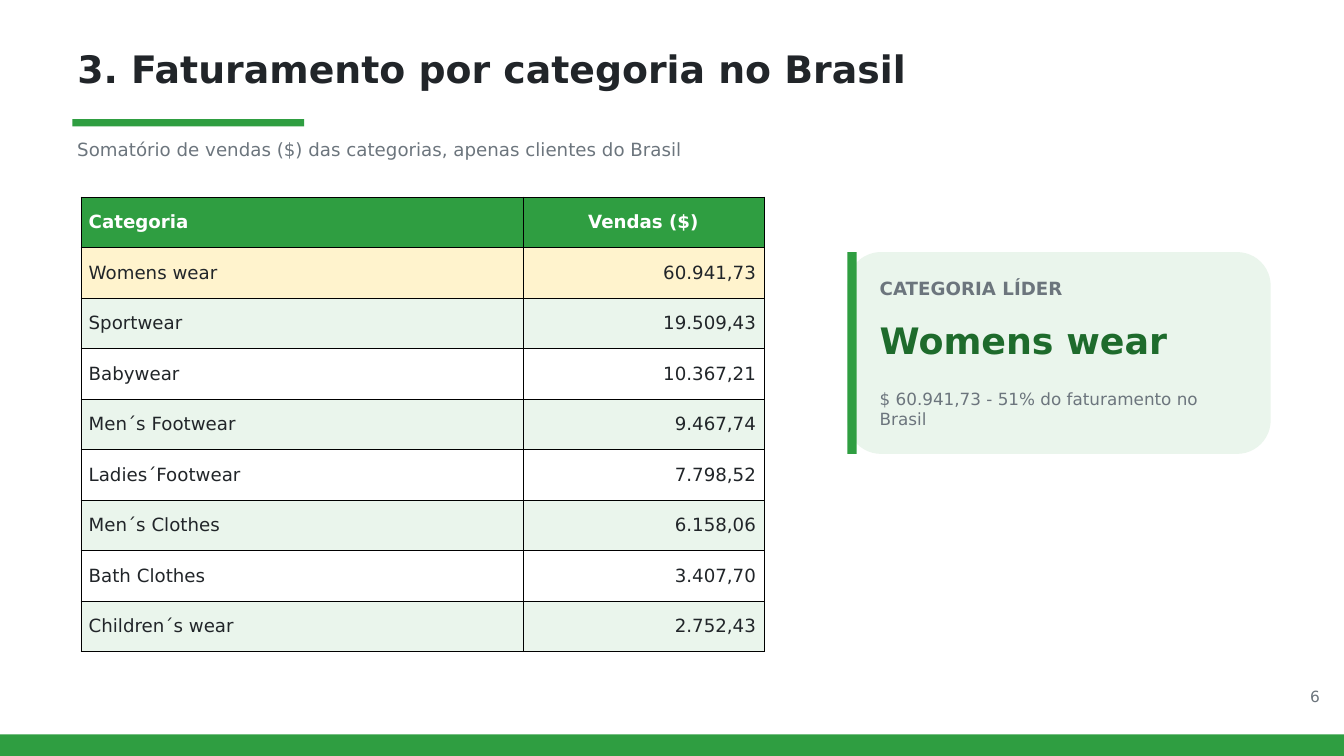
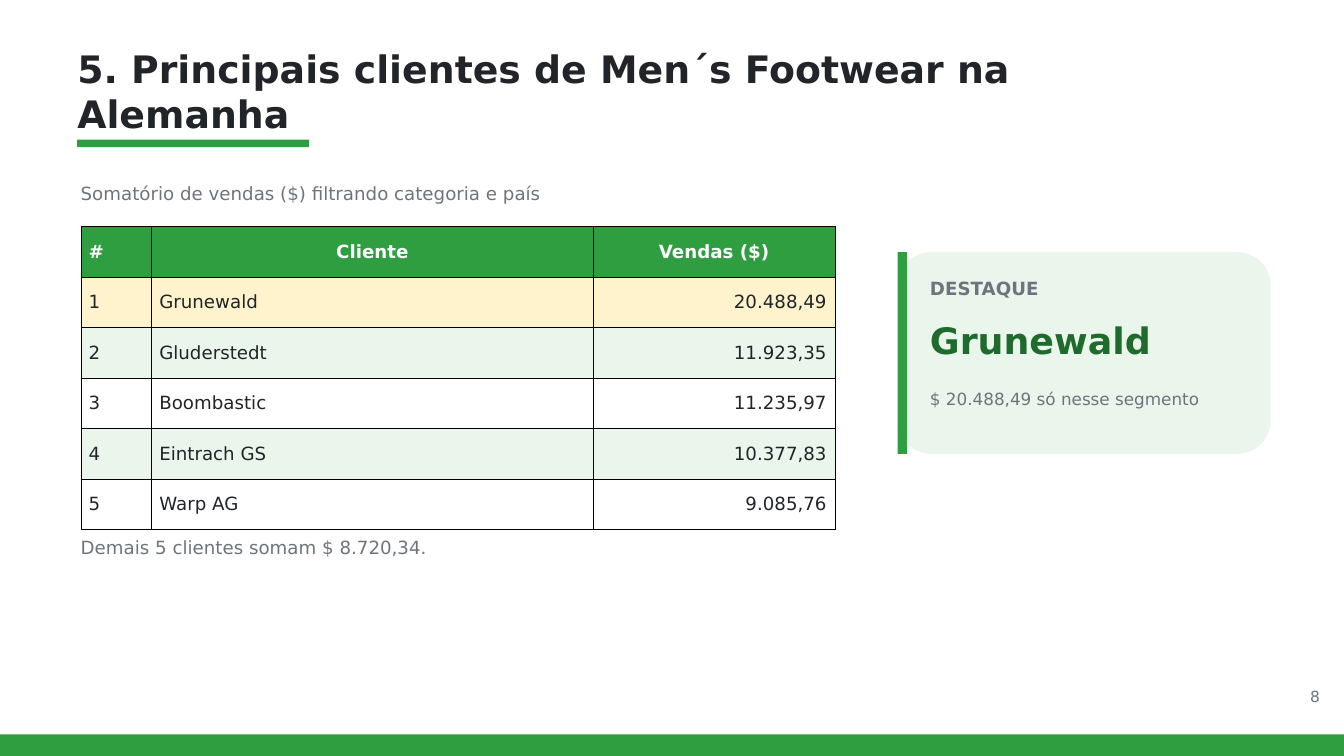
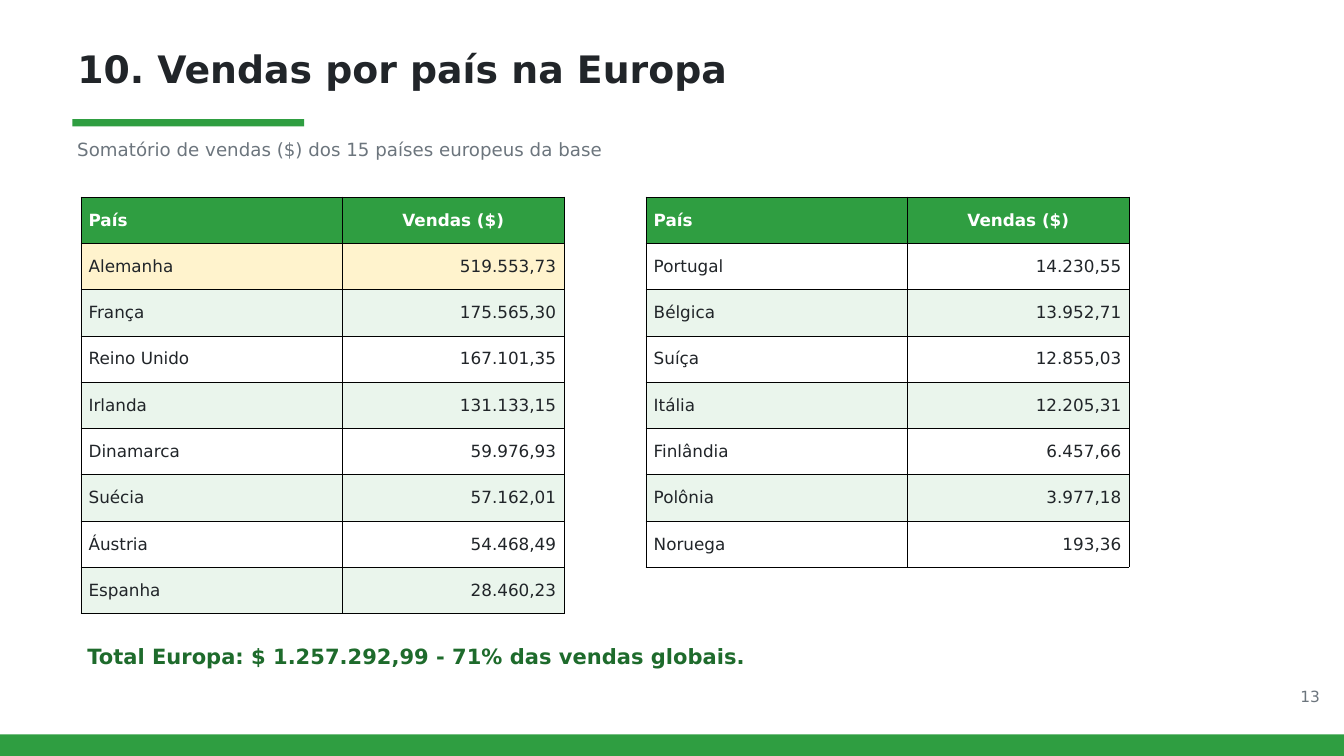
from pptx import Presentation
from pptx.dml.color import RGBColor
from pptx.enum.shapes import MSO_SHAPE
from pptx.enum.text import MSO_ANCHOR, MSO_AUTO_SIZE, PP_ALIGN
from pptx.oxml import parse_xml
from pptx.oxml.ns import nsdecls
from pptx.util import Cm, Pt

FONT = "DejaVu Sans"
HUES = {
    "green": "2F9E41",
    "dark": "1E6B2C",
    "pale": "EAF5EC",
    "gold": "FFF3CD",
    "ink": "212529",
    "gray": "6C757D",
    "white": "FFFFFF",
    "black": "000000",
}
WIDE, HIGH = 50.8, 28.58
TOP = 7.44
EDGE = 3.05
LEFT, MID, RIGHT = PP_ALIGN.LEFT, PP_ALIGN.CENTER, PP_ALIGN.RIGHT

BRAZIL = [
    ("Categoria", "Vendas ($)"),
    ("Womens wear", "60.941,73"),
    ("Sportwear", "19.509,43"),
    ("Babywear", "10.367,21"),
    ("Men´s Footwear", "9.467,74"),
    ("Ladies´Footwear", "7.798,52"),
    ("Men´s Clothes", "6.158,06"),
    ("Bath Clothes", "3.407,70"),
    ("Children´s wear", "2.752,43"),
]
CLIENTS = [
    ("#", "Cliente", "Vendas ($)"),
    ("1", "Grunewald", "20.488,49"),
    ("2", "Gluderstedt", "11.923,35"),
    ("3", "Boombastic", "11.235,97"),
    ("4", "Eintrach GS", "10.377,83"),
    ("5", "Warp AG", "9.085,76"),
]
EUROPE = [
    ("País", "Vendas ($)"),
    ("Alemanha", "519.553,73"),
    ("França", "175.565,30"),
    ("Reino Unido", "167.101,35"),
    ("Irlanda", "131.133,15"),
    ("Dinamarca", "59.976,93"),
    ("Suécia", "57.162,01"),
    ("Áustria", "54.468,49"),
    ("Espanha", "28.460,23"),
]
OTHERS = [
    ("País", "Vendas ($)"),
    ("Portugal", "14.230,55"),
    ("Bélgica", "13.952,71"),
    ("Suíça", "12.855,03"),
    ("Itália", "12.205,31"),
    ("Finlândia", "6.457,66"),
    ("Polônia", "3.977,18"),
    ("Noruega", "193,36"),
]


def tint(name):
    return RGBColor.from_string(HUES[name])


def write(frame, text, size=19.5, hue="gray", bold=False, align=LEFT):
    para = frame.paragraphs[0]
    para.alignment = align
    para.line_spacing = Pt(size * 1.2)
    run = para.add_run()
    run.text = text
    font = run.font
    font.name, font.size, font.bold = FONT, Pt(size), bold
    font.color.rgb = tint(hue)


def trim(frame):
    frame.word_wrap = True
    frame.auto_size = MSO_AUTO_SIZE.NONE
    frame.vertical_anchor = MSO_ANCHOR.TOP
    frame.margin_left = frame.margin_right = 0
    frame.margin_top = frame.margin_bottom = 0
    return frame


def label(slide, text, x, y, w, h=1.65, **style):
    box = slide.shapes.add_textbox(Cm(x), Cm(y), Cm(w), Cm(h))
    write(trim(box.text_frame), text, **style)


def block(slide, x, y, w, h, hue="green", kind=MSO_SHAPE.RECTANGLE):
    shape = slide.shapes.add_shape(kind, Cm(x), Cm(y), Cm(w), Cm(h))
    shape.shadow.inherit = False
    shape.fill.solid()
    shape.fill.fore_color.rgb = tint(hue)
    shape.line.fill.background()
    return shape


def start(deck, title, page, rule=(2.74, 4.5)):
    slide = deck.slides.add_slide(deck.slide_layouts[5])
    head = slide.shapes.title
    head.left, head.top = Cm(2.92), Cm(1.73)
    head.width, head.height = Cm(36.1), Cm(3.18)
    write(trim(head.text_frame), title, size=40.5, hue="ink", bold=True)
    block(slide, *rule, 8.76, 0.28)
    block(slide, 0, HIGH - 0.82, WIDE, 0.82)
    label(slide, page, 47.35, 25.98, 2.54, 1.27, size=16.5, align=RIGHT)
    return slide


def frame_cell(cell):
    props = cell._tc.get_or_add_tcPr()
    for spot, side in enumerate("LRTB"):
        props.insert(spot, parse_xml(
            f'<a:ln{side} {nsdecls("a")} w="4700"><a:solidFill>'
            f'<a:srgbClr val="{HUES["black"]}"/></a:solidFill></a:ln{side}>'))


def shade(row, lead):
    if row == 0:
        return "green"
    if row == 1 and lead:
        return "gold"
    return "white" if row % 2 else "pale"


def place(row, col, last):
    if row == 0:
        return MID if col else LEFT
    return RIGHT if col == last else LEFT


def grid(slide, data, x, y, cols, step=1.91, size=19.5, lead=True):
    table = slide.shapes.add_table(
        len(data), len(cols), Cm(x), Cm(y),
        Cm(sum(cols)), Cm(step * len(data))).table
    table.horz_banding = False
    for col, width in zip(table.columns, cols):
        col.width = Cm(width)
    for r, line in enumerate(data):
        table.rows[r].height = Cm(step)
        for c, text in enumerate(line):
            cell = table.cell(r, c)
            cell.vertical_anchor = MSO_ANCHOR.MIDDLE
            cell.margin_left = cell.margin_right = Cm(0.3)
            cell.margin_top = cell.margin_bottom = Cm(0.3)
            cell.fill.solid()
            cell.fill.fore_color.rgb = tint(shade(r, lead))
            frame_cell(cell)
            write(cell.text_frame, text, size=size, bold=r == 0,
                  hue="ink" if r else "white",
                  align=place(r, c, len(cols) - 1))


def card(slide, x, w, tag, name, note):
    y, h = 9.53, 7.63
    panel = block(slide, x, y, w, h, "pale", MSO_SHAPE.ROUNDED_RECTANGLE)
    panel.adjustments[0] = 1.27 / h
    block(slide, x, y, 0.35, h)
    left, span = x + 1.22, w - 2.03
    label(slide, tag, left, y + 0.97, span, 1.47, bold=True)
    label(slide, name, left, y + 2.51, span, 2.39,
          size=39, hue="dark", bold=True)
    label(slide, note, left, y + 5.15, span, size=18)


def brazil(deck):
    slide = start(deck, "3. Faturamento por categoria no Brasil", "6")
    label(slide, "Somatório de vendas ($) das categorias, "
          "apenas clientes do Brasil", 2.92, 5.23, 41.43)
    grid(slide, BRAZIL, EDGE, TOP, [16.71, 9.12])
    card(slide, 32.03, 16, "CATEGORIA LÍDER", "Womens wear",
         "$ 60.941,73 - 51% do faturamento no Brasil")


def german(deck):
    slide = start(deck, "5. Principais clientes de Men´s Footwear "
                  "na Alemanha", "8", rule=(2.92, 5.28))
    label(slide, "Somatório de vendas ($) filtrando categoria e país",
          EDGE, 6.91, 41.43)
    grid(slide, CLIENTS, EDGE, 8.56, [2.67, 16.71, 9.12])
    label(slide, "Demais 5 clientes somam $ 8.720,34.", EDGE, 20.29, 28.09)
    card(slide, 33.93, 14.1, "DESTAQUE", "Grunewald",
         "$ 20.488,49 só nesse segmento")


def europe(deck):
    slide = start(deck, "10. Vendas por país na Europa", "13")
    label(slide, "Somatório de vendas ($) dos 15 países europeus da base",
          2.92, 5.23, 41.43)
    cols = [9.89, 8.38]
    grid(slide, EUROPE, EDGE, TOP, cols, step=1.75, size=18)
    grid(slide, OTHERS, 24.41, TOP, cols, step=1.75, size=18, lead=False)
    label(slide, "Total Europa: $ 1.257.292,99 - 71% das vendas globais.",
          3.3, 24.31, 43.33, 1, size=22.5, hue="dark", bold=True)


def main():
    deck = Presentation()
    deck.slide_width, deck.slide_height = Cm(WIDE), Cm(HIGH)
    brazil(deck)
    german(deck)
    europe(deck)
    deck.save("out.pptx")


if __name__ == "__main__":
    main()
